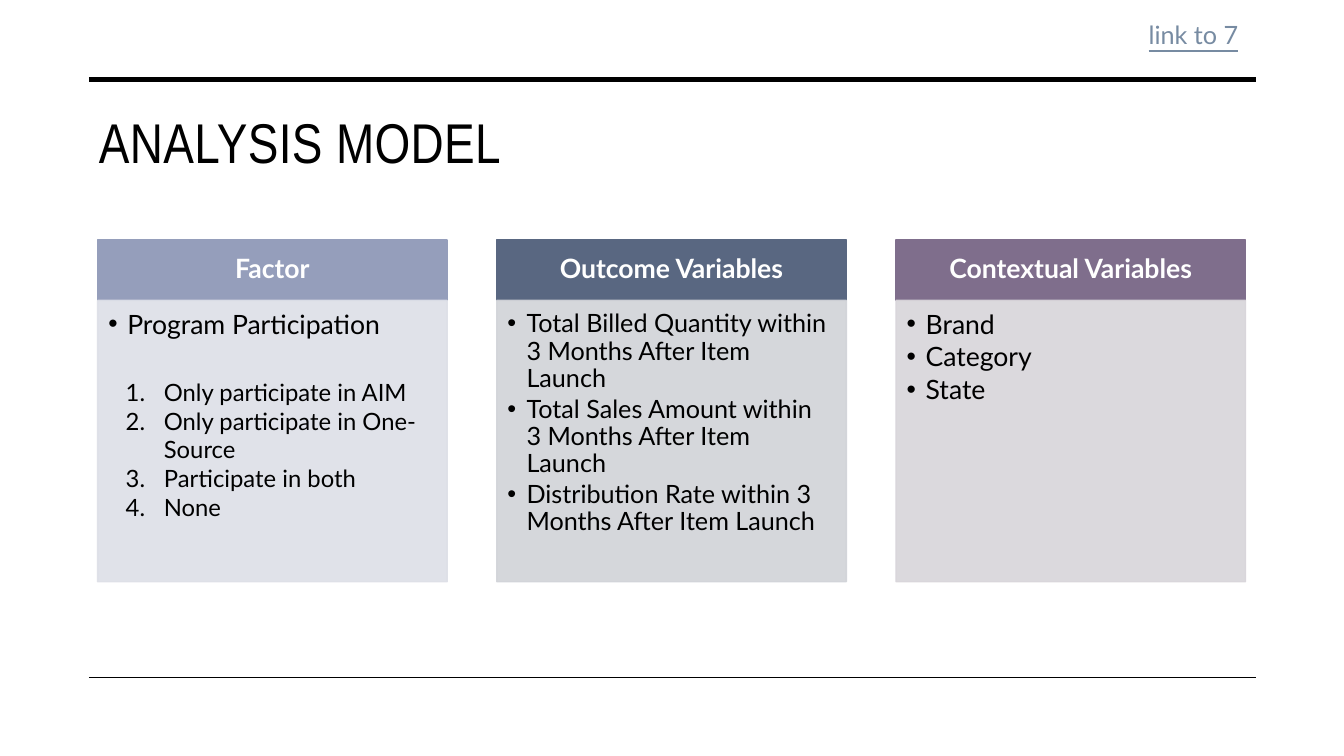
from dataclasses import dataclass

from lxml.etree import SubElement
from pptx import Presentation
from pptx.dml.color import RGBColor
from pptx.enum.shapes import MSO_CONNECTOR, MSO_SHAPE
from pptx.enum.text import MSO_ANCHOR, MSO_AUTO_SIZE, PP_ALIGN
from pptx.oxml.ns import qn
from pptx.util import Cm, Pt


@dataclass(frozen=True)
class Theme:
    title_font: str = "Arial Narrow"
    body_font: str = "Lato"
    ink: str = "000000"
    paper: str = "FFFFFF"
    link: str = "778BA2"
    title_size: int = 40
    heading_size: int = 19
    dense_size: int = 18
    list_size: int = 17


def color(value):
    return RGBColor.from_string(value)


def apply(target, values):
    for name, value in values.items():
        setattr(target, name, value)


class SlideBuilder:
    def __init__(self, slide, theme):
        self.slide = slide
        self.theme = theme

    def add_lines(self, frame, lines, size, ink, font=None, bullet=None,
                  indent=0, paragraph_format=None, **font_format):
        """Fill a text frame, one paragraph per line."""
        for index, line in enumerate(lines):
            paragraph = frame.add_paragraph() if index else frame.paragraphs[0]
            if bullet:
                properties = paragraph._p.get_or_add_pPr()
                properties.set("marL", str(Cm(indent)))
                properties.set("indent", str(-Cm(indent)))
                tag, attribute, value = bullet
                SubElement(properties, qn("a:buFont"), typeface="Arial")
                SubElement(properties, qn(tag), {attribute: value})
            apply(paragraph, {"alignment": PP_ALIGN.LEFT, **(paragraph_format or {})})
            run = paragraph.add_run()
            run.text = line
            apply(run.font, {"name": font or self.theme.body_font,
                             "size": Pt(size), **font_format})
            run.font.color.rgb = color(ink)

    def title(self, text, left, top, width, height):
        title = self.slide.shapes.title
        apply(title, {"left": Cm(left), "top": Cm(top),
                      "width": Cm(width), "height": Cm(height)})
        apply(title.text_frame, {"vertical_anchor": MSO_ANCHOR.TOP, "word_wrap": True,
                                 "auto_size": MSO_AUTO_SIZE.NONE})
        self.add_lines(title.text_frame, [text], self.theme.title_size, self.theme.ink,
                       font=self.theme.title_font)
        run = title.text_frame.paragraphs[0].runs[0]
        run._r.get_or_add_rPr().set("spc", "30")

    def rule(self, left, right, y, weight):
        line = self.slide.shapes.add_connector(
            MSO_CONNECTOR.STRAIGHT, Cm(left), Cm(y), Cm(right), Cm(y))
        line.line.color.rgb = color(self.theme.ink)
        line.line.width = Pt(weight)
        SubElement(line._element.spPr, qn("a:effectLst"))

    def box(self, left, top, width, height, fill, line_weight=1, opacity=None,
            insets=None, **frame_format):
        """Add a rectangle and return its text frame."""
        shape = self.slide.shapes.add_shape(
            MSO_SHAPE.RECTANGLE, Cm(left), Cm(top), Cm(width), Cm(height))
        shape.shadow.inherit = False
        shape.fill.solid()
        shape.fill.fore_color.rgb = color(fill)
        shape.line.color.rgb = color(fill)
        shape.line.width = Pt(line_weight)
        if opacity:
            for tint in shape._element.spPr.iter(qn("a:srgbClr")):
                SubElement(tint, qn("a:alpha"), val=str(opacity * 1000))
        if insets:
            sides = ("margin_left", "margin_top", "margin_right", "margin_bottom")
            apply(shape.text_frame, dict(zip(sides, map(Cm, insets))))
        apply(shape.text_frame, {"word_wrap": True, **frame_format})
        return shape.text_frame

    def card(self, left, heading, items, size, dark, light):
        """Add one column: coloured heading above a pale bulleted panel."""
        width, top, heading_height, panel_height = 8.81, 6.05, 1.52, 7.09
        frame = self.box(left, top, width, heading_height, dark,
                         insets=(0.38, 0.2, 0.38, 0.2),
                         vertical_anchor=MSO_ANCHOR.MIDDLE)
        self.add_lines(frame, [heading], self.theme.heading_size, self.theme.paper, bold=True,
                       paragraph_format={"alignment": PP_ALIGN.CENTER, "line_spacing": 0.9})
        frame = self.box(left, top + heading_height, width, panel_height, light,
                         opacity=90, insets=(0.27, 0.27, 0.37, 0.42),
                         vertical_anchor=MSO_ANCHOR.TOP)
        self.add_lines(frame, items, size, self.theme.ink,
                       bullet=("a:buChar", "char", "•"), indent=0.48,
                       paragraph_format={"line_spacing": 0.9, "space_after": Pt(0.15 * size)})

    def numbered_list(self, items, left, top, width, height):
        box = self.slide.shapes.add_textbox(Cm(left), Cm(top), Cm(width), Cm(height))
        apply(box.text_frame, {"word_wrap": True,
                               "auto_size": MSO_AUTO_SIZE.SHAPE_TO_FIT_TEXT})
        self.add_lines(box.text_frame, items, self.theme.list_size, self.theme.ink,
                       bullet=("a:buAutoNum", "type", "arabicPeriod"), indent=0.96)

    def link_label(self, text, left, top, width, height):
        frame = self.box(left, top, width, height, self.theme.paper, line_weight=0.75,
                         vertical_anchor=MSO_ANCHOR.MIDDLE,
                         auto_size=MSO_AUTO_SIZE.SHAPE_TO_FIT_TEXT)
        self.add_lines(frame, [text], self.theme.dense_size, self.theme.link, underline=True)


def main():
    presentation = Presentation()
    presentation.slide_width, presentation.slide_height = Cm(33.87), Cm(19.05)
    theme = Theme()
    slide = presentation.slides.add_slide(presentation.slide_layouts.get_by_name("Title Only"))
    builder = SlideBuilder(slide, theme)

    # Title and frame rules
    builder.title("ANALYSIS MODEL", 2.24, 2.57, 22.15, 2.9)
    for y, weight in ((2.01, 3.5), (17.07, 1)):
        builder.rule(2.24, 31.65, y, weight)

    # Three columns of the model
    cards = [
        ("Factor", ["Program Participation"], theme.heading_size, "959EBB", "DDDFE7"),
        ("Outcome Variables",
         ["Total Billed Quantity within 3 Months After Item Launch",
          "Total Sales Amount within 3 Months After Item Launch",
          "Distribution Rate within 3 Months After Item Launch"],
         theme.dense_size, "596781", "D1D3D8"),
        ("Contextual Variables", ["Brand", "Category", "State"],
         theme.heading_size, "7F6E8C", "D8D5DA"),
    ]
    for column, card in enumerate(cards):
        builder.card(2.46 + column * 10.06, *card)

    # Levels of the factor
    builder.numbered_list(
        ["Only participate in AIM", "Only participate in One-Source",
         "Participate in both", "None"], 2.92, 9.4, 7.85, 3.89)

    # Cross-reference
    builder.link_label("link to 7", 28.7, 0.36, 3.53, 1.02)

    presentation.save("out.pptx")


if __name__ == "__main__":
    main()
